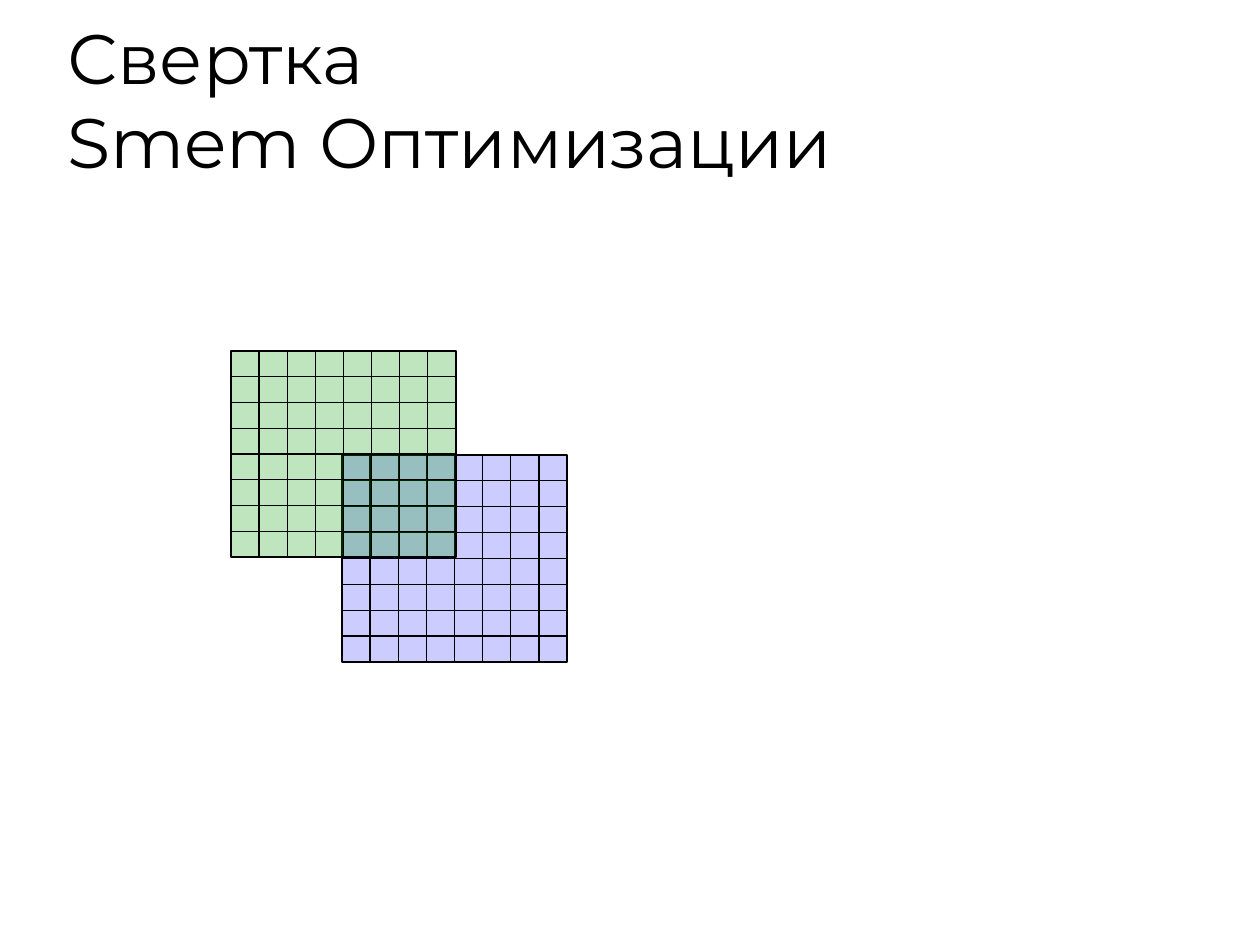
from lxml import etree
from pptx import Presentation
from pptx import util as u
from pptx.dml.color import RGBColor
from pptx.enum import shapes, text
from pptx.oxml.ns import qn

SCALE = 914400 / 126  # EMU per px
WIDTH, HEIGHT = 1260, 945

TITLE = "Свертка\vSmem Оптимизации"
TITLE_BOX = (55, 31, 1071, 158)

# Overlapping tiles, back to front
CELLS = 8
TILES = [
    dict(box=(342, 455, 225, 207), fill="CCCCFF", opacity=100, grouped=False),
    dict(box=(231, 351, 225, 206), fill="009900", opacity=25, grouped=True),
]


def px(value):
    return u.Emu(round(value * SCALE))


def color(value):
    return RGBColor.from_string(value)


def add_text(slide, box, content, font="Montserrat", size=40, fill="000000",
             anchor=text.MSO_ANCHOR.BOTTOM):
    shape = slide.shapes.add_textbox(*map(px, box))
    frame = shape.text_frame
    frame.word_wrap = True
    frame.vertical_anchor = anchor
    paragraph = frame.paragraphs[0]
    paragraph.text = content
    paragraph.font.name = font
    paragraph.font.size = u.Pt(size)
    paragraph.font.color.rgb = color(fill)
    for run in paragraph.runs:
        run.font.name = font
        run.font.size = u.Pt(size)
        run.font.color.rgb = color(fill)


def add_cell(container, box, fill, opacity):
    shape = container.add_shape(shapes.MSO_SHAPE.RECTANGLE, *map(px, box))
    shape.shadow.inherit = False
    shape.fill.solid()
    shape.fill.fore_color.rgb = color(fill)
    shape.line.color.rgb = color("000000")
    shape.line.width = u.Pt(0.75)
    if opacity < 100:
        fill_color = shape.fill._xPr.find(qn("a:solidFill"))[0]
        etree.SubElement(fill_color, qn("a:alpha"), val=str(opacity * 1000))


def add_tile(slide, box, fill, opacity, grouped):
    left, top, width, height = box
    cell_width, cell_height = width / CELLS, height / CELLS
    container = slide.shapes.add_group_shape().shapes if grouped else slide.shapes
    for row in range(CELLS):
        for column in range(CELLS):
            cell = (left + column * cell_width, top + row * cell_height,
                    cell_width, cell_height)
            add_cell(container, cell, fill, opacity)


def main():
    presentation = Presentation()
    presentation.slide_width, presentation.slide_height = px(WIDTH), px(HEIGHT)
    slide = presentation.slides.add_slide(presentation.slide_layouts[6])
    add_text(slide, TITLE_BOX, TITLE)
    for tile in TILES:
        add_tile(slide, **tile)
    presentation.save("out.pptx")


if __name__ == "__main__":
    main()
